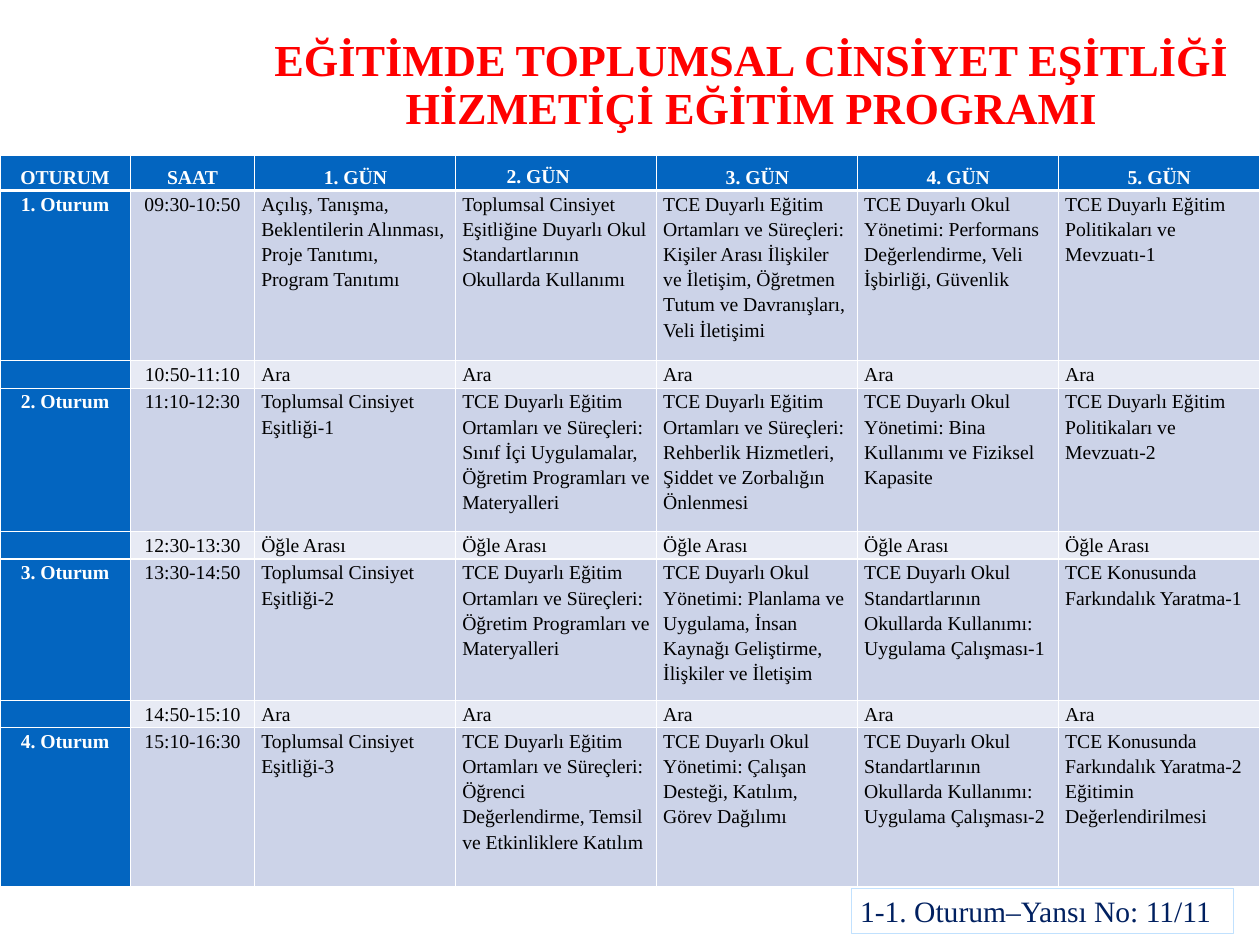
from dataclasses import dataclass
from typing import Any

from lxml import etree
from pptx import Presentation
from pptx.dml.color import RGBColor
from pptx.enum.shapes import MSO_SHAPE
from pptx.enum.text import MSO_ANCHOR, PP_ALIGN
from pptx.oxml.ns import qn
from pptx.util import Pt

LEFT, CENTER = PP_ALIGN.LEFT, PP_ALIGN.CENTER
TOP, MIDDLE = MSO_ANCHOR.TOP, MSO_ANCHOR.MIDDLE
RECTANGLE = MSO_SHAPE.RECTANGLE


@dataclass(frozen=True)
class Theme:
    font: str = "Times New Roman"
    title_size: float = 36
    table_size: float = 16
    note_size: float = 24
    title: str = "FF0000"
    note: str = "002060"
    note_line: str = "C1E1FE"
    header: str = "0365C0"
    session: str = "CCD3E8"
    pause: str = "E7EAF4"
    light: str = "FFFFFF"
    dark: str = "000000"


@dataclass(frozen=True)
class TextStyle:
    size: float
    color: str
    bold: bool
    layout: dict[str, Any]


@dataclass(frozen=True)
class Slot:
    """One time slot of the day: a session, or a break when it has no name."""
    name: str
    hours: str
    height: float
    topics: list[str]


THEME = Theme()
WIDTH, HEIGHT = 1024, 768
DAYS = 5
LABEL_WIDTH, HOURS_WIDTH = 105.7, 101.5
HEADER_HEIGHT, PAUSE_HEIGHT = 27.4, 22.3
CELL_INSET = {"margin_left": Pt(5.2), "margin_right": Pt(5.2),
              "margin_top": 0, "margin_bottom": 0}
NO_INSET = dict.fromkeys(CELL_INSET, 0)

# Text styles
TITLE = TextStyle(THEME.title_size, THEME.title, True,
                  {"alignment": CENTER, "line_spacing": 0.9})
NOTE = TextStyle(THEME.note_size, THEME.note, False, {"alignment": LEFT})
HEADING = TextStyle(THEME.table_size, THEME.light, True,
                    {"alignment": CENTER, "line_spacing": 1.5, "space_after": Pt(10)})
HEADING_LEFT = TextStyle(THEME.table_size, THEME.light, True,
                         {"alignment": LEFT, "line_spacing": 1.5})
LABEL = TextStyle(THEME.table_size, THEME.light, True,
                  {"alignment": CENTER, "line_spacing": 1.15, "space_after": Pt(10)})
HOURS = TextStyle(THEME.table_size, THEME.dark, False, LABEL.layout)
TOPIC = TextStyle(THEME.table_size, THEME.dark, False,
                  {"alignment": LEFT, "line_spacing": 1.15})

# Programme content
SCHOOL_CLIMATE = "TCE Duyarlı Eğitim Ortamları ve Süreçleri: "
MANAGEMENT = "TCE Duyarlı Okul Yönetimi: "
POLICY = "TCE Duyarlı Eğitim Politikaları ve Mevzuatı-"
STANDARDS = "TCE Duyarlı Okul Standartlarının Okullarda Kullanımı: Uygulama Çalışması-"
AWARENESS = "TCE Konusunda Farkındalık Yaratma-"
EQUALITY = "Toplumsal Cinsiyet Eşitliği-"


def pause(hours: str, label: str) -> Slot:
    return Slot("", hours, PAUSE_HEIGHT, [label] * DAYS)


HEADINGS = ["OTURUM", "SAAT"] + [f"{day}. GÜN" for day in range(1, DAYS + 1)]
INDENTED_HEADING = "2. GÜN"
PROGRAMME = [
    Slot("1. Oturum", "09:30-10:50", 138.3, [
        "Açılış, Tanışma, Beklentilerin Alınması, Proje Tanıtımı, Program Tanıtımı",
        "Toplumsal Cinsiyet Eşitliğine Duyarlı Okul Standartlarının Okullarda Kullanımı",
        SCHOOL_CLIMATE + "Kişiler Arası İlişkiler ve İletişim, "
        "Öğretmen Tutum ve Davranışları, Veli İletişimi",
        MANAGEMENT + "Performans Değerlendirme, Veli İşbirliği, Güvenlik",
        POLICY + "1"]),
    pause("10:50-11:10", "Ara"),
    Slot("2. Oturum", "11:10-12:30", 116.7, [
        EQUALITY + "1",
        SCHOOL_CLIMATE + "Sınıf İçi Uygulamalar, Öğretim Programları ve Materyalleri",
        SCHOOL_CLIMATE + "Rehberlik Hizmetleri, Şiddet ve Zorbalığın Önlenmesi",
        MANAGEMENT + "Bina Kullanımı ve Fiziksel Kapasite",
        POLICY + "2"]),
    pause("12:30-13:30", "Öğle Arası"),
    Slot("3. Oturum", "13:30-14:50", 114.8, [
        EQUALITY + "2",
        SCHOOL_CLIMATE + "Öğretim Programları ve Materyalleri",
        MANAGEMENT + "Planlama ve Uygulama, İnsan Kaynağı Geliştirme, İlişkiler ve İletişim",
        STANDARDS + "1",
        AWARENESS + "1"]),
    pause("14:50-15:10", "Ara"),
    Slot("4. Oturum", "15:10-16:30", 128.9, [
        EQUALITY + "3",
        SCHOOL_CLIMATE + "Öğrenci Değerlendirme, Temsil ve Etkinliklere Katılım",
        MANAGEMENT + "Çalışan Desteği, Katılım, Görev Dağılımı",
        STANDARDS + "2",
        AWARENESS + "2\nEğitimin Değerlendirilmesi"]),
]


def apply(target: Any, values: dict[str, Any]) -> None:
    for attribute, value in values.items():
        setattr(target, attribute, value)


def write(frame: Any, text: str, style: TextStyle) -> None:
    for index, line in enumerate(text.split("\n")):
        paragraph = frame.add_paragraph() if index else frame.paragraphs[0]
        apply(paragraph, style.layout)
        if not line:
            etree.SubElement(paragraph._p, qn("a:endParaRPr"), sz=str(int(style.size * 100)))
            continue
        run = paragraph.add_run()
        run.text = line
        apply(run.font, {"name": THEME.font, "size": Pt(style.size), "bold": style.bold})
        run.font.color.rgb = RGBColor.from_string(style.color)


def add_borders(cell: Any, bottom: float) -> None:
    for side, width in {"L": 1, "R": 1, "T": 1, "B": bottom}.items():
        line = etree.SubElement(cell._tc.get_or_add_tcPr(), qn(f"a:ln{side}"), w=str(Pt(width)))
        fill = etree.SubElement(line, qn("a:solidFill"))
        etree.SubElement(fill, qn("a:srgbClr"), val=THEME.light)


def fill_cell(cell: Any, text: str, style: TextStyle, color: str,
              anchor: Any = TOP, bottom: float = 1) -> None:
    apply(cell, {**CELL_INSET, "vertical_anchor": anchor})
    add_borders(cell, bottom)
    cell.fill.solid()
    cell.fill.fore_color.rgb = RGBColor.from_string(color)
    write(cell.text_frame, text, style)


def add_title(slide: Any) -> None:
    frame = slide.shapes.add_textbox(Pt(218.2), Pt(28.8), Pt(784.8), Pt(82.8)).text_frame
    apply(frame, {**NO_INSET, "word_wrap": True, "vertical_anchor": MIDDLE})
    write(frame, "EĞİTİMDE TOPLUMSAL CİNSİYET EŞİTLİĞİ HİZMETİÇİ EĞİTİM PROGRAMI", TITLE)


def add_programme(slide: Any) -> None:
    heights = [HEADER_HEIGHT] + [slot.height for slot in PROGRAMME]
    day_width = (WIDTH - LABEL_WIDTH - HOURS_WIDTH) / DAYS
    table = slide.shapes.add_table(len(heights), len(HEADINGS), 0, Pt(126),
                                   Pt(WIDTH), Pt(sum(heights))).table
    apply(table, {"first_row": True, "first_col": True, "horz_banding": False})
    for column, width in zip(table.columns, [LABEL_WIDTH, HOURS_WIDTH] + [day_width] * DAYS):
        column.width = Pt(width)
    for row, height in zip(table.rows, heights):
        row.height = Pt(height)

    # Header row
    for column, heading in enumerate(HEADINGS):
        cell = table.cell(0, column)
        indented = heading == INDENTED_HEADING
        fill_cell(cell, heading, HEADING_LEFT if indented else HEADING, THEME.header,
                  TOP if indented else MIDDLE, bottom=3)
        if indented:
            properties = cell.text_frame.paragraphs[0]._p.get_or_add_pPr()
            properties.set("marL", str(Pt(36)))

    # Sessions and breaks
    for row, slot in enumerate(PROGRAMME, start=1):
        color = THEME.session if slot.name else THEME.pause
        fill_cell(table.cell(row, 0), slot.name, LABEL, THEME.header)
        fill_cell(table.cell(row, 1), slot.hours, HOURS, color)
        for column, topic in enumerate(slot.topics, start=2):
            fill_cell(table.cell(row, column), topic, TOPIC, color)


def add_slide_note(slide: Any) -> None:
    note = slide.shapes.add_shape(RECTANGLE, Pt(691.9), Pt(722.2), Pt(310.3), Pt(36))
    note.shadow.inherit = False
    note.fill.background()
    note.line.color.rgb = RGBColor.from_string(THEME.note_line)
    note.line.width = Pt(0.25)
    apply(note.text_frame, {"word_wrap": True, "vertical_anchor": TOP})
    write(note.text_frame, "1-1. Oturum–Yansı No: 11/11", NOTE)


def main() -> None:
    deck = Presentation()
    apply(deck, {"slide_width": Pt(WIDTH), "slide_height": Pt(HEIGHT)})
    slide = deck.slides.add_slide(deck.slide_layouts[6])
    add_title(slide)
    add_slide_note(slide)
    add_programme(slide)
    deck.save("out.pptx")


if __name__ == "__main__":
    main()
